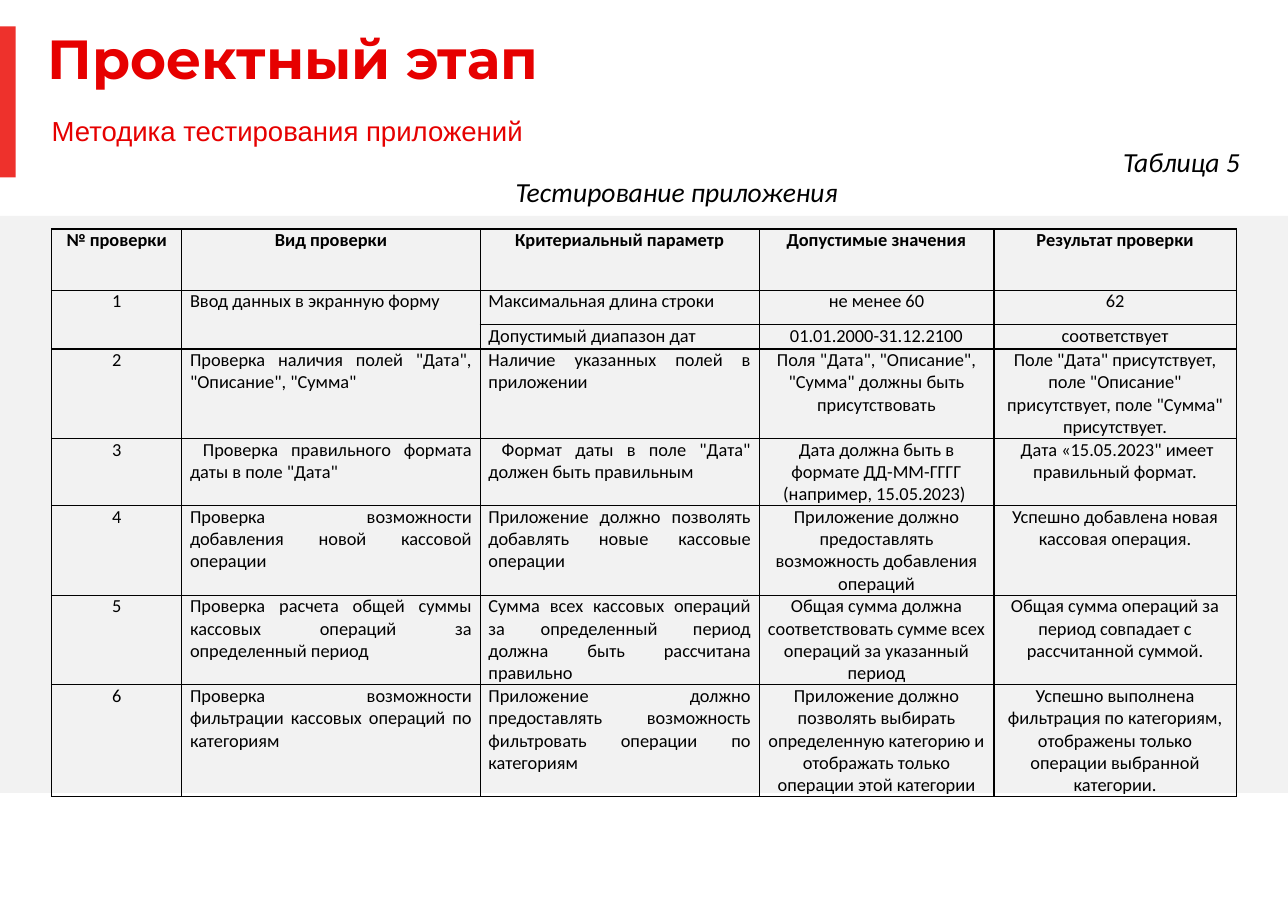
from dataclasses import dataclass
from typing import NamedTuple

from lxml.etree import SubElement
from pptx import Presentation
from pptx.dml.color import RGBColor
from pptx.enum.shapes import MSO_SHAPE
from pptx.enum.text import MSO_ANCHOR, MSO_AUTO_SIZE, PP_ALIGN
from pptx.oxml.ns import qn
from pptx.util import Cm, Pt


@dataclass(frozen=True)
class Theme:
    red: str = "E60000"
    accent: str = "EE312C"
    panel: str = "F2F2F2"
    ink: str = "000000"
    title_font: str = "Montserrat"
    subtitle_font: str = "Arial"
    table_font: str = "Calibri"
    title_size: float = 36
    text_size: float = 18
    table_size: float = 12
    border: float = 1


THEME = Theme()


class Box(NamedTuple):
    left: float
    top: float
    width: float
    height: float

    def lengths(self) -> list:
        return [Cm(value) for value in self]


class Panel(NamedTuple):
    box: Box
    color: str


class Check(NamedTuple):
    height: float
    number: str
    kind: str
    criterion: str
    allowed: str
    result: str


PANELS = [
    Panel(Box(0, 4.98, 29.69, 13.31), THEME.panel),
    Panel(Box(0, 0.61, 0.36, 3.48), THEME.accent),
]

HEADER = Check(1.42, "№ проверки", "Вид проверки", "Критериальный параметр",
               "Допустимые значения", "Результат проверки")
CHECKS = [
    Check(0.79, "1", "Ввод данных в экранную форму",
          "Максимальная длина строки", "не менее 60", "62"),
    Check(0.56, "", "", "Допустимый диапазон дат",
          "01.01.2000-31.12.2100", "соответствует"),
    Check(2.05, "2", 'Проверка наличия полей "Дата", "Описание", "Сумма"',
          "Наличие указанных полей в приложении",
          'Поля "Дата", "Описание", "Сумма" должны быть присутствовать',
          'Поле "Дата" присутствует, поле "Описание" присутствует, '
          'поле "Сумма" присутствует.'),
    Check(1.54, "3", ' Проверка правильного формата даты в поле "Дата"',
          ' Формат даты в поле "Дата" должен быть правильным',
          "Дата должна быть в формате ДД-ММ-ГГГГ (например, 15.05.2023) ",
          ' Дата «15.05.2023" имеет правильный формат.'),
    Check(2.05, "4", "Проверка возможности добавления новой кассовой операции",
          "Приложение должно позволять добавлять новые кассовые операции",
          "Приложение должно предоставлять возможность добавления операций",
          "Успешно добавлена новая кассовая операция."),
    Check(2.05, "5",
          "Проверка расчета общей суммы кассовых операций за определенный период",
          "Сумма всех кассовых операций за определенный период должна быть "
          "рассчитана правильно",
          "Общая сумма должна соответствовать сумме всех операций за указанный период",
          "Общая сумма операций за период совпадает с рассчитанной суммой."),
    Check(2.56, "6",
          "Проверка возможности фильтрации кассовых операций по категориям",
          "Приложение должно предоставлять возможность фильтровать операции "
          "по категориям",
          "Приложение должно позволять выбирать определенную категорию и "
          "отображать только операции этой категории",
          "Успешно выполнена фильтрация по категориям, отображены только "
          "операции выбранной категории."),
]
COLUMN_WIDTHS = [3, 6.88, 6.43, 5.41, 5.59]
JUSTIFIED_COLUMNS = (1, 2)


def write(paragraph, text: str, *, font: str, size: float, color: str = THEME.ink,
          bold: bool = False, italic: bool = False, align=PP_ALIGN.LEFT,
          spacing: float = 1.0, margin: float = 0, indent: float = 0) -> None:
    """Fill one paragraph with formatted text; margin and indent are in cm."""
    properties = paragraph._p.get_or_add_pPr()
    properties.set("marL", str(Cm(margin)))
    properties.set("indent", str(Cm(indent)))
    paragraph.alignment = align
    paragraph.line_spacing = spacing
    paragraph.space_before = paragraph.space_after = Pt(0)
    run = paragraph.add_run()
    run.text = text
    run.font.name = font
    run.font.size = Pt(size)
    run.font.bold = bold
    run.font.italic = italic
    run.font.color.rgb = RGBColor.from_string(color)


def place(placeholder, box: Box, anchor, inset_x: float = 0, inset_y: float = 0):
    """Move a placeholder and return its prepared text frame."""
    (placeholder.left, placeholder.top,
     placeholder.width, placeholder.height) = box.lengths()
    frame = placeholder.text_frame
    frame.word_wrap = True
    frame.auto_size = MSO_AUTO_SIZE.NONE
    frame.vertical_anchor = anchor
    frame.margin_left = frame.margin_right = Cm(inset_x)
    frame.margin_top = frame.margin_bottom = Cm(inset_y)
    return frame


def draw_panel(slide, panel: Panel, depth: int) -> None:
    shape = slide.shapes.add_shape(MSO_SHAPE.RECTANGLE, *panel.box.lengths())
    shape.shadow.inherit = False
    shape.fill.solid()
    shape.fill.fore_color.rgb = RGBColor.from_string(panel.color)
    shape.line.fill.background()
    slide.shapes._spTree.insert(2 + depth, shape._element)  # behind the text


def format_cell(cell) -> None:
    cell.margin_left = cell.margin_right = Cm(0.19)
    cell.margin_top = cell.margin_bottom = 0
    properties = cell._tc.get_or_add_tcPr()
    for side in ("a:lnL", "a:lnR", "a:lnT", "a:lnB"):
        line = SubElement(properties, qn(side), w=str(Pt(THEME.border)))
        fill = SubElement(line, qn("a:solidFill"))
        SubElement(fill, qn("a:srgbClr"), val=THEME.ink)
    cell.fill.background()


def draw_checks(slide, box: Box) -> None:
    rows = [HEADER, *CHECKS]
    table = slide.shapes.add_table(len(rows), len(COLUMN_WIDTHS), *box.lengths()).table
    table.first_row = table.horz_banding = False
    for column, width in zip(table.columns, COLUMN_WIDTHS):
        column.width = Cm(width)
    for row_index, (height, *texts) in enumerate(rows):
        table.rows[row_index].height = Cm(height)
        is_header = row_index == 0
        for column_index, text in enumerate(texts):
            cell = table.cell(row_index, column_index)
            format_cell(cell)
            justified = column_index in JUSTIFIED_COLUMNS and not is_header
            if text:
                write(cell.text_frame.paragraphs[0], text, font=THEME.table_font,
                      size=THEME.table_size, bold=is_header,
                      align=PP_ALIGN.JUSTIFY if justified else PP_ALIGN.CENTER)
    # The first check has two criteria
    for column_index in (0, 1):
        table.cell(1, column_index).merge(table.cell(2, column_index))


def main() -> None:
    deck = Presentation()
    deck.slide_width, deck.slide_height = Cm(29.69), Cm(21.01)
    slide = deck.slides.add_slide(deck.slide_layouts.get_by_name("Comparison"))
    parts = {part.placeholder_format.idx: part for part in slide.placeholders}
    title, subtitle, caption = parts[0], parts[1], parts[3]
    for unused in (parts[2], parts[4]):
        unused._element.getparent().remove(unused._element)

    # Background
    for depth, panel in enumerate(PANELS):
        draw_panel(slide, panel, depth)

    # Title and subtitle
    frame = place(title, Box(1.09, 0.74, 28.22, 4.34), MSO_ANCHOR.TOP)
    write(frame.paragraphs[0], "Проектный этап", font=THEME.title_font,
          size=THEME.title_size, color=THEME.red, bold=True, spacing=0.9)
    frame = place(subtitle, Box(0.66, 0.71, 27.28, 2.84), MSO_ANCHOR.BOTTOM, 0.28, 0.15)
    write(frame.paragraphs[0], "Методика тестирования приложений",
          font=THEME.subtitle_font, size=THEME.text_size, color=THEME.red,
          spacing=0.9, margin=0.25)

    # Table number and name
    frame = place(caption, Box(0.84, 3.28, 28.02, 1.75), MSO_ANCHOR.TOP, 0.28, 0.15)
    frame.add_paragraph()
    captions = [("Таблица 5", PP_ALIGN.RIGHT),
                ("Тестирование приложения", PP_ALIGN.CENTER)]
    for paragraph, (text, align) in zip(frame.paragraphs, captions):
        write(paragraph, text, font=THEME.table_font, size=THEME.text_size,
              italic=True, align=align, spacing=0.9, indent=1.5)

    # Checks
    draw_checks(slide, Box(1.19, 5.28, 27.31, 12.93))
    deck.save("out.pptx")


if __name__ == "__main__":
    main()
